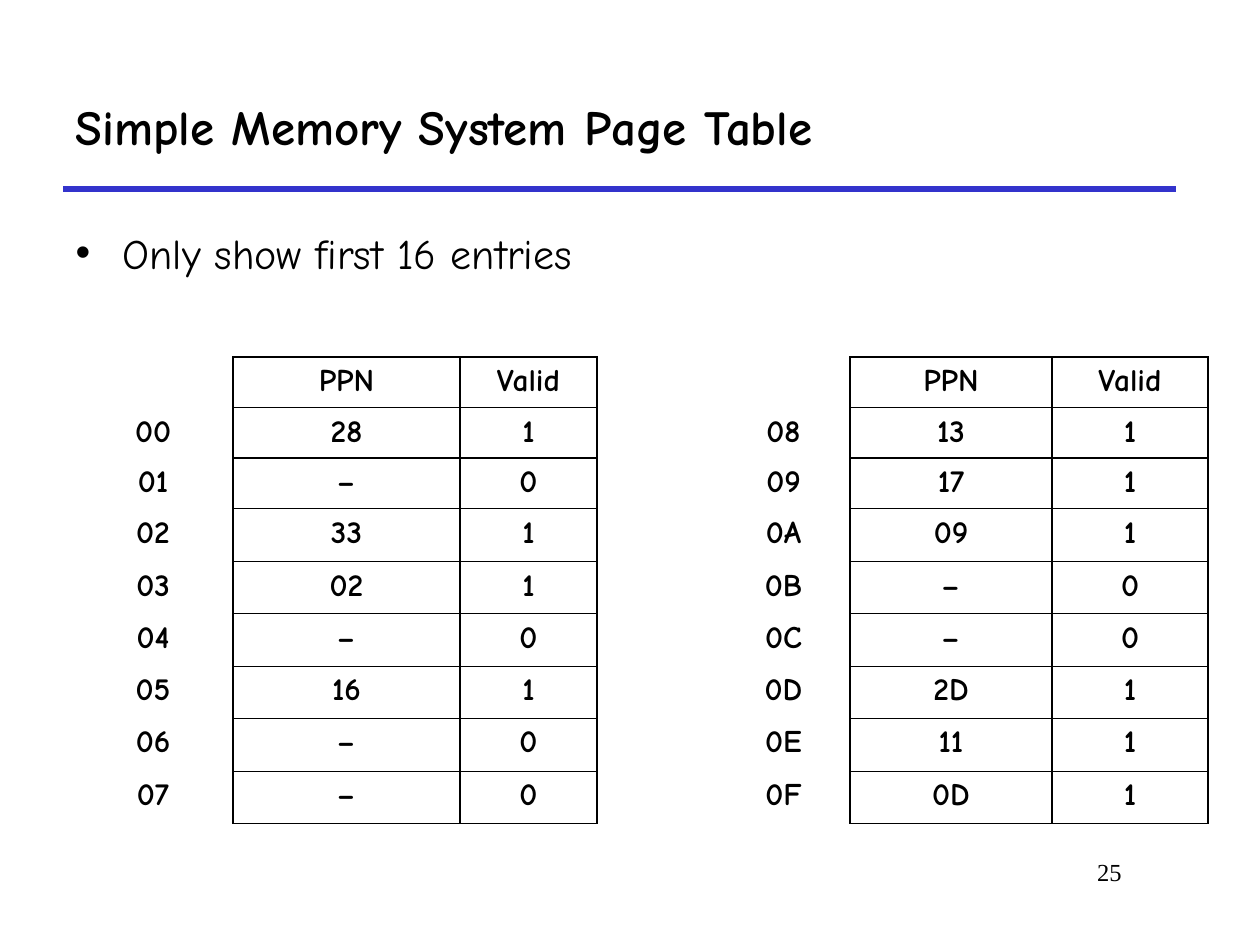
"""Build the slide listing the first sixteen entries of a simple page table."""
import lxml.etree
import pptx
import pptx.dml.color
import pptx.enum.text
import pptx.enum.shapes
import pptx.oxml.ns
import pptx.util

EMU_PER_PX = 914400 / 126
BLACK = pptx.dml.color.RGBColor(0x00, 0x00, 0x00)
RULE_BLUE = pptx.dml.color.RGBColor(0x33, 0x33, 0xCC)
HEADING_FONT = "Comic Neue"
NUMBER_FONT = "Times New Roman"
ALIGN = pptx.enum.text.PP_ALIGN
ANCHOR = pptx.enum.text.MSO_ANCHOR

ROW_HEIGHTS = [50] * 3 + [53, 52] * 3
HEADER = ("", "PPN", "Valid")
LOW_ENTRIES = [
    ("00", "28", "1"), ("01", "–", "0"), ("02", "33", "1"), ("03", "02", "1"),
    ("04", "–", "0"), ("05", "16", "1"), ("06", "–", "0"), ("07", "–", "0"),
]
HIGH_ENTRIES = [
    ("08", "13", "1"), ("09", "17", "1"), ("0A", "09", "1"), ("0B", "–", "0"),
    ("0C", "–", "0"), ("0D", "2D", "1"), ("0E", "11", "1"), ("0F", "0D", "1"),
]


def px(length):
    return pptx.util.Emu(round(length * EMU_PER_PX))


def add_child(parent, tag, **attributes):
    return lxml.etree.SubElement(parent, pptx.oxml.ns.qn(tag), **attributes)


def place(shape, left, top, width, height):
    shape.left, shape.top = px(left), px(top)
    shape.width, shape.height = px(width), px(height)


def write(frame, text, size, align, font=HEADING_FONT, bold=False):
    paragraph = frame.paragraphs[0]
    paragraph.alignment = align
    paragraph.space_before = pptx.util.Pt(0)
    run = paragraph.add_run()
    run.text = text
    run.font.name = font
    run.font.size = pptx.util.Pt(size)
    run.font.bold = bold
    run.font.color.rgb = BLACK


def fill_title(title):
    place(title, 63, 63, 1113, 126)
    title.text_frame.vertical_anchor = ANCHOR.MIDDLE
    title.text_frame.auto_size = pptx.enum.text.MSO_AUTO_SIZE.NONE
    write(title.text_frame, "Simple Memory System Page Table", 28, ALIGN.LEFT, bold=True)


def fill_bullet(body):
    place(body, 63, 221, 1040, 73)
    body.text_frame.vertical_anchor = ANCHOR.TOP
    body.text_frame.auto_size = pptx.enum.text.MSO_AUTO_SIZE.NONE
    properties = body.text_frame.paragraphs[0]._p.get_or_add_pPr()
    properties.set("marL", str(px(47)))
    properties.set("indent", str(px(-47)))
    add_child(properties, "a:buChar", char="•")
    write(body.text_frame, "Only show first 16 entries", 24, ALIGN.LEFT)


def add_title_rule(slide):
    rule = slide.shapes.add_connector(
        pptx.enum.shapes.MSO_CONNECTOR.STRAIGHT, px(63), px(189), px(1176), px(189))
    rule.line.color.rgb = RULE_BLUE
    rule.line.width = pptx.util.Pt(3)
    add_child(rule._element.spPr, "a:effectLst")


def add_slide_number(slide):
    number = slide.shapes.add_textbox(px(955), px(851), px(179), px(63))
    number.text_frame.word_wrap = True
    write(number.text_frame, "25", 14, ALIGN.RIGHT, font=NUMBER_FONT)


def set_borders(cell, visible_sides):
    properties = cell._tc.get_or_add_tcPr()
    for side in "LRTB":
        border = add_child(properties, f"a:ln{side}", w=str(pptx.util.Pt(1)))
        if side in visible_sides:
            fill = add_child(border, "a:solidFill")
            add_child(fill, "a:srgbClr", val=str(BLACK))
        else:
            add_child(border, "a:noFill")


def add_page_table(slide, left, column_widths, entries):
    rows = [HEADER] + entries
    table = slide.shapes.add_table(
        len(rows), len(HEADER), px(left), px(357),
        px(sum(column_widths)), px(sum(ROW_HEIGHTS))).table
    table.first_row = False
    table.horz_banding = False
    for column, width in zip(table.columns, column_widths):
        column.width = px(width)
    for row, height, values in zip(table.rows, ROW_HEIGHTS, rows):
        row.height = px(height)
        for position, (cell, value) in enumerate(zip(row.cells, values)):
            set_borders(cell, "LRTB" if position else "R")
            cell.fill.background()
            if value:
                write(cell.text_frame, value, 18, ALIGN.CENTER, bold=True)
            else:
                cell.margin_top = cell.margin_bottom = 0


def main():
    presentation = pptx.Presentation()
    presentation.slide_width, presentation.slide_height = px(1260), px(945)
    slide = presentation.slides.add_slide(presentation.slide_layouts[1])
    add_title_rule(slide)
    add_slide_number(slide)
    fill_title(slide.shapes.title)
    fill_bullet(slide.placeholders[1])
    add_page_table(slide, 73, (160, 227, 137), LOW_ENTRIES)
    add_page_table(slide, 717, (133, 202, 156), HIGH_ENTRIES)
    presentation.save("out.pptx")


if __name__ == "__main__":
    main()
